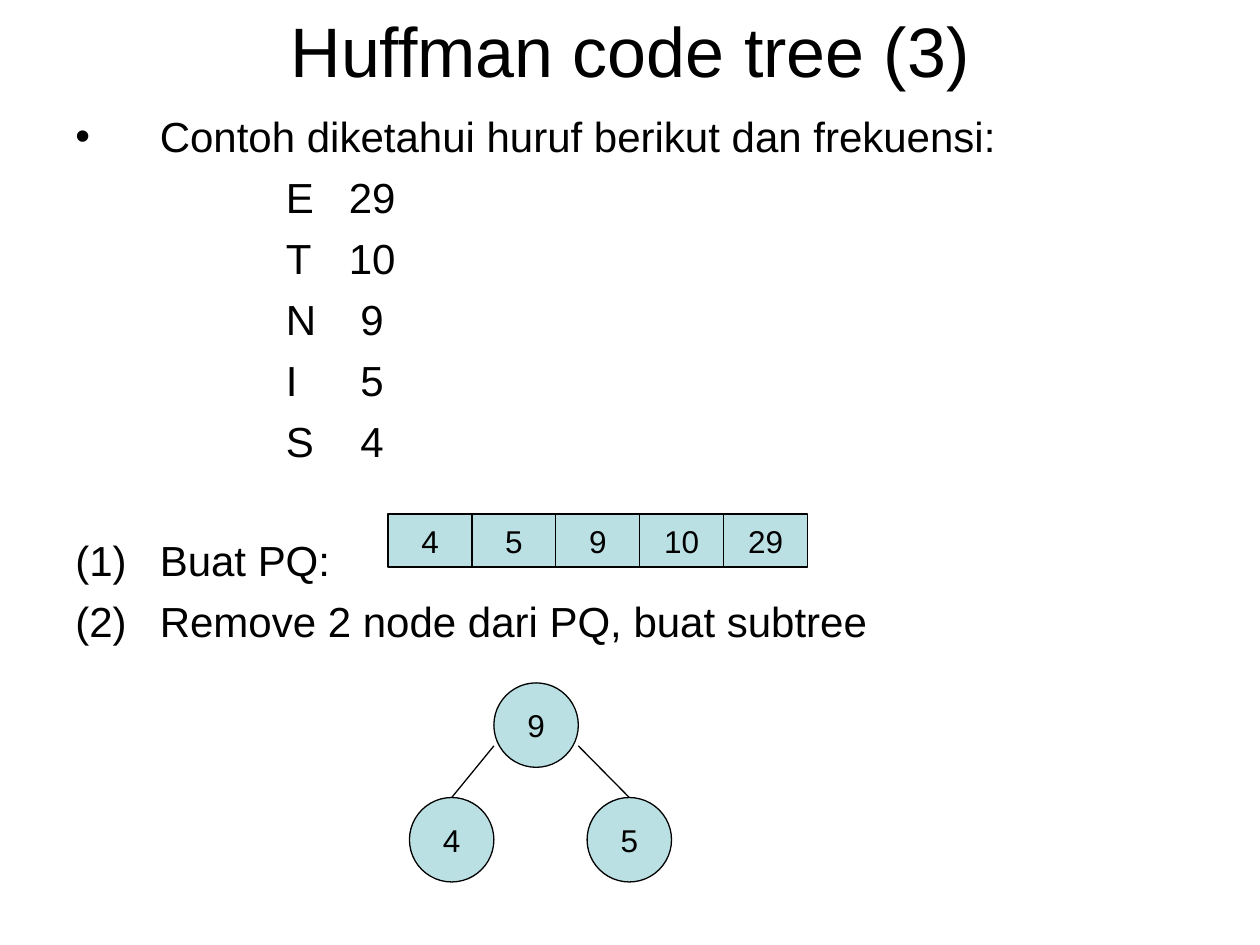
from lxml.etree import SubElement
from pptx import Presentation
from pptx.dml.color import RGBColor
from pptx.enum.shapes import MSO_CONNECTOR as CONN, MSO_SHAPE as SHAPE
from pptx.enum.text import MSO_ANCHOR as ANCHOR, PP_ALIGN as ALIGN
from pptx.oxml.ns import qn
from pptx.util import Inches, Pt

BLACK, PALE = "000000", "BBE0E3"
CELL = 0.67
LETTERS = [("E", "29"), ("T", "10"), ("N", " 9"), ("I", " 5"), ("S", " 4")]


def rgb(value):
    """Turn a hex string into a colour."""
    return RGBColor.from_string(value)


def add_text(p, text, size):
    """Add one formatted run to a paragraph."""
    r = p.add_run()
    r.text = text
    for name, value in {"name": "Arial", "size": Pt(size)}.items():
        setattr(r.font, name, value)
    r.font.color.rgb = rgb(BLACK)


def set_indent(p, bullet=None, **attrs):
    """Give a paragraph a hanging indent and an optional bullet element."""
    pPr = p._p.get_or_add_pPr()
    pPr.set("marL", str(Inches(CELL)))
    pPr.set("indent", str(-Inches(CELL)))
    if bullet == "buChar":
        SubElement(pPr, qn("a:buFont"), typeface="Arial")
    SubElement(pPr, qn(f"a:{bullet or 'buNone'}"), **attrs)


def add_title(s, x, y, w, h):
    """Place the slide title."""
    sp = s.shapes.title
    box = dict(zip(("left", "top", "width", "height"), map(Inches, (x, y, w, h))))
    for name, value in box.items():
        setattr(sp, name, value)
    tf = sp.text_frame
    tf.vertical_anchor = ANCHOR.MIDDLE
    p = tf.paragraphs[0]
    p.alignment = ALIGN.CENTER
    add_text(p, "Huffman code tree (3)", 40)


def add_body(s, x, y, w, h):
    """Place the letter frequencies and the numbered steps."""
    tf = s.shapes.add_textbox(*map(Inches, (x, y, w, h))).text_frame
    tf.word_wrap = True
    number = {"bullet": "buAutoNum", "type": "arabicParenBoth"}
    rows = [("Contoh diketahui huruf berikut dan frekuensi:", 6,
             {"bullet": "buChar", "char": "•"})]
    rows += [(f"\t\t\t{letter}\t{count}", 6, {}) for letter, count in LETTERS]
    rows += [("Buat PQ:", 39.5, number),
             ("Remove 2 node dari PQ, buat subtree", 6, number)]
    for i, (text, gap, bullet) in enumerate(rows):
        p = tf.add_paragraph() if i else tf.paragraphs[0]
        p.space_before = Pt(gap)
        set_indent(p, **bullet)
        add_text(p, text, 24)


def add_node(s, kind, text, x, y, w, h):
    """Draw one labelled cell or tree node."""
    sp = s.shapes.add_shape(kind, *map(Inches, (x, y, w, h)))
    sp.shadow.inherit = False
    sp.fill.solid()
    sp.fill.fore_color.rgb = rgb(PALE)
    sp.line.color.rgb = rgb(BLACK)
    sp.line.width = Pt(0.75)
    tf = sp.text_frame
    tf.vertical_anchor = ANCHOR.MIDDLE
    tf.paragraphs[0].alignment = ALIGN.CENTER
    add_text(tf.paragraphs[0], text, 18)
    return sp


def add_queue(s, x, y, w, h):
    """Draw the priority queue as a row of equal cells."""
    values = sorted(int(count) for _, count in LETTERS)
    step = w / len(values)
    for i, value in enumerate(values):
        add_node(s, SHAPE.RECTANGLE, str(value), x + i * step, y, step, h)


def add_edge(s, x, y, child):
    """Join a point beside the root to the top of a child node."""
    line = s.shapes.add_connector(CONN.STRAIGHT, Inches(x), Inches(y),
                                  child.left + child.width // 2, child.top)
    line.end_connect(child, 0)
    line.line.color.rgb = rgb(BLACK)
    line.line.width = Pt(0.75)
    SubElement(line._element.spPr, qn("a:effectLst"))


def add_tree(s, x, y, w, h):
    """Draw the root with its two children in the bottom corners."""
    root_x, child_y = x + CELL, y + h - CELL
    add_node(s, SHAPE.OVAL, "9", root_x, y, CELL, CELL)
    for text, child_x, edge_x in (("4", x, root_x),
                                  ("5", x + w - CELL, root_x + CELL)):
        child = add_node(s, SHAPE.OVAL, text, child_x, child_y, CELL, CELL)
        add_edge(s, edge_x, y + 0.5, child)


def main():
    """Build and save the slide."""
    prs = Presentation()
    prs.slide_width, prs.slide_height = Inches(10), Inches(7.5)
    s = prs.slides.add_slide(prs.slide_layouts[5])
    add_title(s, 0.5, 0, 9, 0.78)
    add_body(s, 0.5, 0.83, 9, 6.33)
    add_queue(s, 3.08, 4.08, 3.33, 0.42)
    add_tree(s, 3.25, 5.42, 2.08, 1.58)
    prs.save("out.pptx")


if __name__ == "__main__":
    main()
